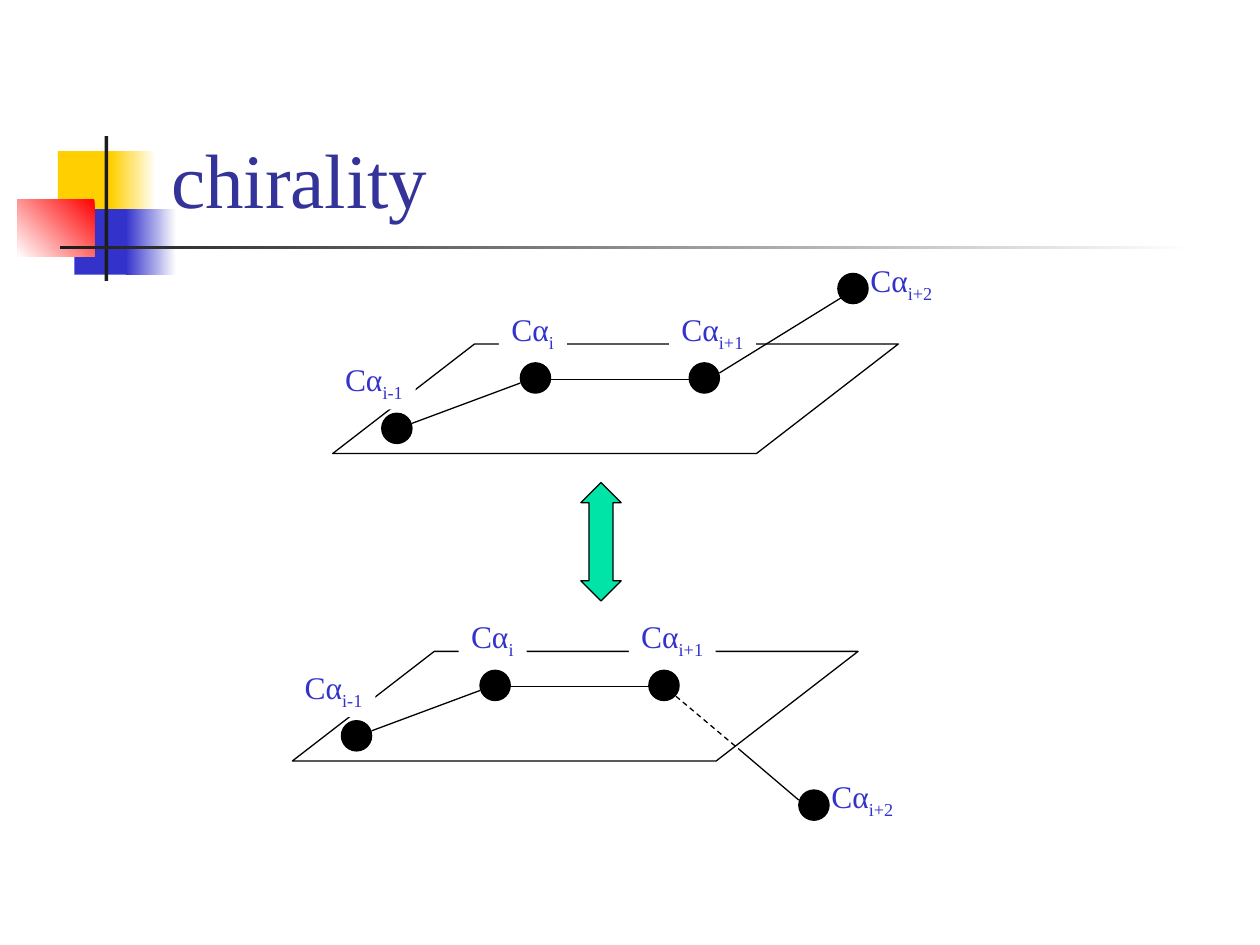
from lxml.etree import SubElement
from pptx import Presentation
from pptx.dml.color import RGBColor
from pptx.enum.dml import MSO_LINE
from pptx.enum.shapes import MSO_CONNECTOR, MSO_SHAPE
from pptx.enum.text import MSO_ANCHOR, MSO_AUTO_SIZE, PP_ALIGN
from pptx.oxml.ns import qn
from pptx.util import Inches, Pt

FONT = "Times New Roman"
BLACK, WHITE, BLUE, YELLOW = "000000", "FFFFFF", "3333CC", "FFCF01"
RED, CHARCOAL, NAVY, GREEN = "FF0000", "1C1C1C", "333399", "00E4A8"
DOT_SIZE = 0.24


def rgb(color):
    """Turn a hex string into a colour."""
    return RGBColor.from_string(color)


def add_figure(slide, kind, box, fill=None, outline=None, adjustments=()):
    """Add a preset shape with a plain or absent fill and outline."""
    figure = slide.shapes.add_shape(kind, *map(Inches, box))
    figure.shadow.inherit = False
    for index, value in enumerate(adjustments):
        figure.adjustments[index] = value
    if fill:
        figure.fill.solid()
        figure.fill.fore_color.rgb = rgb(fill)
    else:
        figure.fill.background()
    if outline:
        figure.line.color.rgb = rgb(outline)
        figure.line.width = Pt(0.75)
    else:
        figure.line.fill.background()
    return figure


def add_fade(slide, box, start, end, angle=180):
    """Add a rectangle that fades from one colour to another."""
    fade = add_figure(slide, MSO_SHAPE.RECTANGLE, box)
    fade.fill.gradient()
    fade.fill.gradient_angle = angle
    for stop, color in zip(fade.fill.gradient_stops, (start, end)):
        stop.color.rgb = rgb(color)


def add_bond(slide, start, end, dashed=False):
    """Add a thin straight line between two points."""
    bond = slide.shapes.add_connector(
        MSO_CONNECTOR.STRAIGHT, *map(Inches, (*start, *end)))
    bond.line.color.rgb = rgb(BLACK)
    bond.line.width = Pt(0.75)
    if dashed:
        bond.line.dash_style = MSO_LINE.DASH
    SubElement(bond._element.spPr, qn("a:effectLst"))


def add_atom(slide, left, top):
    """Add a black dot for one atom."""
    add_figure(slide, MSO_SHAPE.OVAL, (left, top, DOT_SIZE, DOT_SIZE), BLACK, BLACK)


def style_run(run, size, color):
    """Set the font, size and colour of a run."""
    run.font.name = FONT
    run.font.size = Pt(size)
    run.font.color.rgb = rgb(color)


def write_atom_name(frame, index):
    """Write an alpha carbon name with its subscript index."""
    frame.vertical_anchor = MSO_ANCHOR.TOP
    frame.auto_size = MSO_AUTO_SIZE.SHAPE_TO_FIT_TEXT
    paragraph = frame.paragraphs[0]
    paragraph.alignment = PP_ALIGN.LEFT
    for text in ("Cα", index):
        run = paragraph.add_run()
        run.text = text
        style_run(run, 18, BLUE)
    run.font._element.set("baseline", "-25000")


def add_plane_label(slide, box, index):
    """Add an atom name on a white patch that interrupts the plane's edge."""
    label = add_figure(slide, MSO_SHAPE.RECTANGLE, box, WHITE)
    label.text_frame.word_wrap = False
    write_atom_name(label.text_frame, index)


def add_plane(slide, left, top):
    """Add a plane holding three bonded atoms and their names."""
    add_figure(slide, MSO_SHAPE.PARALLELOGRAM, (left, top, 4.49, 0.87),
               outline=BLACK, adjustments=(1.295,))
    for x, y, width, index in ((0, 0.08, 0.66, "i-1"),
                               (1.32, -0.32, 0.54, "i"),
                               (2.67, -0.32, 0.69, "i+1")):
        add_plane_label(slide, (left + x, top + y, width, 0.44), index)
    for x, y in ((0.39, 0.55), (1.49, 0.15), (2.83, 0.15)):
        add_atom(slide, left + x, top + y)
    for x1, y1, x2, y2 in ((0.63, 0.63, 1.49, 0.31), (1.73, 0.28, 2.83, 0.28)):
        add_bond(slide, (left + x1, top + y1), (left + x2, top + y2))


def add_outer_atom(slide, left, top):
    """Add the fourth atom, outside the plane, with its name."""
    add_atom(slide, left, top)
    label = slide.shapes.add_textbox(
        *map(Inches, (left + 0.16, top - 0.15, 0.84, 0.44)))
    label.text_frame.word_wrap = True
    write_atom_name(label.text_frame, "i+2")


def add_decoration(slide):
    """Add the coloured blocks and rules beside the title."""
    add_figure(slide, MSO_SHAPE.RECTANGLE, (0.46, 1.2, 0.48, 0.52), YELLOW)
    add_fade(slide, (0.88, 1.2, 0.36, 0.52), WHITE, YELLOW)
    add_figure(slide, MSO_SHAPE.RECTANGLE, (0.59, 1.66, 0.46, 0.52), BLUE)
    add_fade(slide, (1, 1.66, 0.4, 0.52), WHITE, BLUE)
    add_fade(slide, (0.14, 1.58, 0.61, 0.46), RED, WHITE, angle=225)
    add_figure(slide, MSO_SHAPE.RECTANGLE, (0.83, 1.08, 0.03, 1.15), CHARCOAL)
    add_fade(slide, (0.48, 1.95, 9, 0.03), WHITE, CHARCOAL)


def add_title(slide, text):
    """Add the slide title, resting on the bottom of its box."""
    title = slide.shapes.add_textbox(*map(Inches, (1.26, 0.23, 8.52, 1.6)))
    frame = title.text_frame
    frame.word_wrap = True
    frame.vertical_anchor = MSO_ANCHOR.BOTTOM
    frame.text = text
    style_run(frame.paragraphs[0].runs[0], 44, NAVY)


def main():
    """Build and save the slide."""
    presentation = Presentation()
    presentation.slide_width, presentation.slide_height = Inches(10), Inches(7.5)
    slide = presentation.slides.add_slide(presentation.slide_layouts[6])
    add_decoration(slide)
    add_title(slide, "chirality")

    add_plane(slide, 2.64, 2.73)
    add_bond(slide, (5.71, 2.96), (6.73, 2.33))
    add_outer_atom(slide, 6.65, 2.17)

    add_plane(slide, 2.32, 5.17)
    add_bond(slide, (5.31, 5.48), (5.87, 5.95), dashed=True)
    add_bond(slide, (5.87, 5.95), (6.34, 6.35))
    add_outer_atom(slide, 6.34, 6.27)

    add_figure(slide, MSO_SHAPE.UP_DOWN_ARROW, (4.61, 3.83, 0.32, 0.94),
               GREEN, BLACK, (0.5, 0.595))
    presentation.save("out.pptx")


if __name__ == "__main__":
    main()
